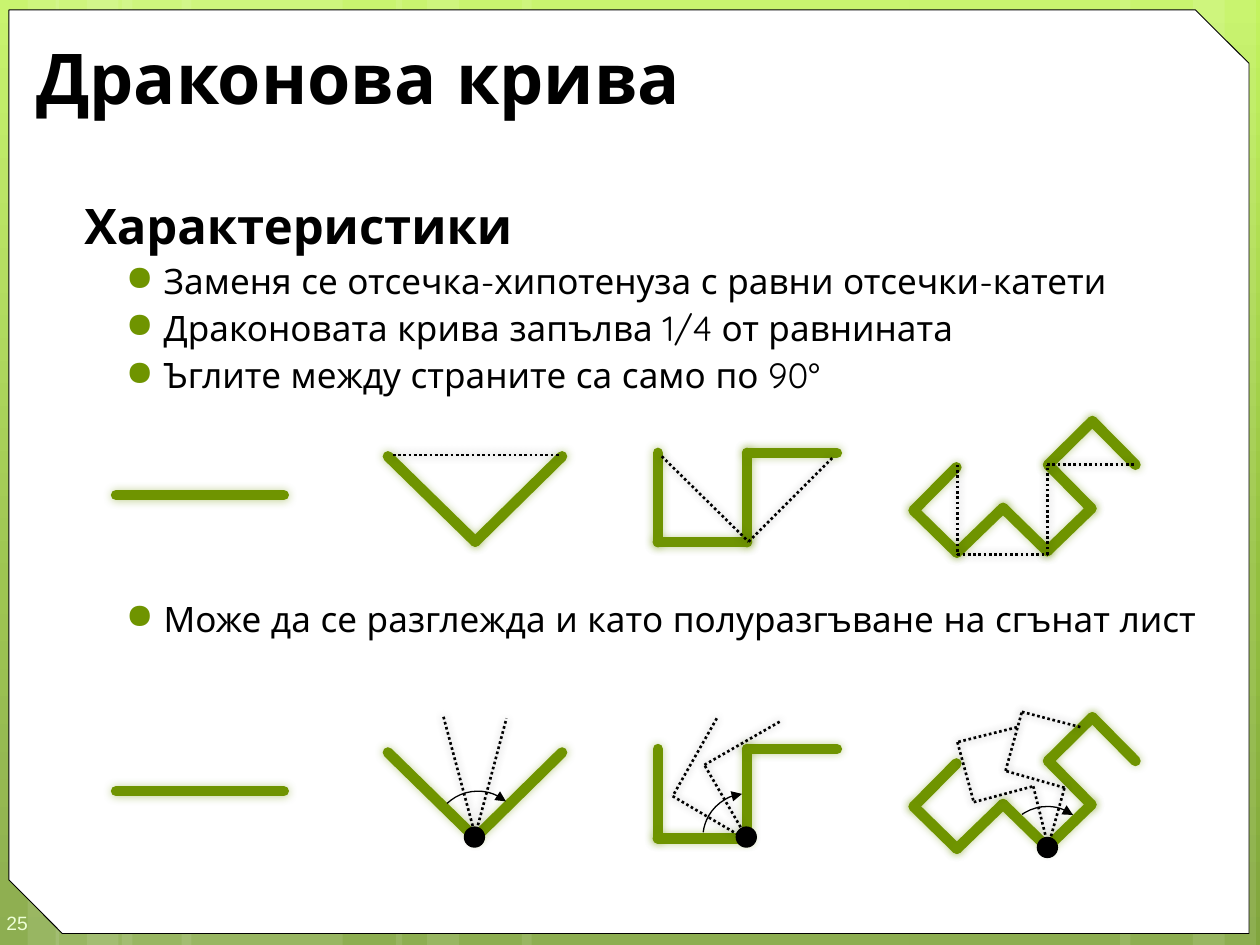
"""Build the slide on the dragon curve."""
from copy import deepcopy
from itertools import pairwise

from pptx import Presentation
from pptx.dml.color import RGBColor
from pptx.enum.dml import MSO_LINE
from pptx.enum.shapes import MSO_CONNECTOR, MSO_SHAPE
from pptx.enum.text import MSO_ANCHOR
from pptx.oxml import parse_xml
from pptx.oxml.ns import nsdecls, qn
from pptx.util import Cm, Pt

GREEN = RGBColor(0x6F, 0x94, 0x00)
BLACK = RGBColor(0x00, 0x00, 0x00)
WHITE = RGBColor(0xFF, 0xFF, 0xFF)
PALE = RGBColor(0xEE, 0xFF, 0xD6)
GRADIENT = [
    (0, RGBColor(0xC3, 0xF3, 0x5F)),
    (62000, RGBColor(0x93, 0xBF, 0x3F)),
    (100000, RGBColor(0x81, 0xA5, 0x3E)),
]
NAMESPACE = nsdecls("a")


def add_text(frame, text, size, color=BLACK, font="Quicksand", bold=False,
             margin=0, before=0, bullet=False):
    paragraph = frame.paragraphs[0]
    if paragraph.runs:
        paragraph = frame.add_paragraph()
    properties = paragraph._p.get_or_add_pPr()
    properties.set("marL", str(Cm(margin)))
    if bullet:
        properties.set("indent", str(Cm(-0.76)))
        properties.append(parse_xml(
            f'<a:buClr {NAMESPACE}><a:srgbClr val="{GREEN}"/></a:buClr>'))
        properties.append(parse_xml(f'<a:buChar {NAMESPACE} char="●"/>'))
    paragraph.space_before = Pt(before)
    run = paragraph.add_run()
    run.text = text
    run.font.size = Pt(size)
    run.font.name = font
    run.font.bold = bold
    run.font.color.rgb = color


def draw_path(points, color, width, dash=None, shift=0):
    for (x1, y1), (x2, y2) in pairwise(points):
        connector = slide.shapes.add_connector(
            MSO_CONNECTOR.STRAIGHT, Cm(x1), Cm(y1 + shift), Cm(x2), Cm(y2 + shift))
        connector.line.color.rgb = color
        connector.line.width = Pt(width)
        if dash:
            connector.line.dash_style = dash
        else:
            connector.line._get_or_add_ln().set("cap", "rnd")
        connector._element.spPr.append(parse_xml(
            f'<a:effectLst {NAMESPACE}><a:outerShdw blurRad="{Pt(5)}" dist="0" dir="0">'
            f'<a:srgbClr val="{color}"><a:alpha val="40000"/></a:srgbClr>'
            f'</a:outerShdw></a:effectLst>'))


presentation = Presentation()
presentation.slide_width = Cm(25.4)
presentation.slide_height = Cm(19.05)
slide = presentation.slides.add_slide(presentation.slide_layouts[6])

background = slide.background.fill
background.gradient()
background.gradient_angle = 270
first_stop = slide._element.find(".//" + qn("a:gs"))
first_stop.addnext(deepcopy(first_stop))
for stop, (position, color) in zip(background.gradient_stops, GRADIENT):
    stop.color.rgb = color
    stop.position = position / 100000

STRIPES = [
    (2.46, 4.45), (-0.08, 1.27), (0.56, 2.11), (3.66, 4.45), (1.12, 1.27), (1.75, 2.11),
    (18.34, 4.45), (24.05, 1.27), (22.58, 2.11), (10.52, 7.82), (7.98, 1.27), (8.61, 2.11),
]
for left, width in STRIPES:
    stripe = slide.shapes.add_shape(
        MSO_SHAPE.RECTANGLE, Cm(left), 0, Cm(width), presentation.slide_height)
    stripe.shadow.inherit = False
    stripe.fill.solid()
    stripe.fill.fore_color.rgb = WHITE
    stripe.line.fill.background()
    white = stripe._element.spPr.find(qn("a:solidFill"))[0]
    white.append(parse_xml(f'<a:alpha {NAMESPACE} val="10000"/>'))

card = slide.shapes.add_shape(
    MSO_SHAPE.SNIP_2_DIAG_RECTANGLE, Cm(0.18), Cm(0.2), Cm(25.0), Cm(18.62))
card.adjustments[0] = 0
card.adjustments[1] = 0.058
card.shadow.inherit = False
card.fill.solid()
card.fill.fore_color.rgb = WHITE
card.line.color.rgb = BLACK
card.line.width = Pt(0.5)

frames = []
for left, top, width, height, anchor in [
    (0, 18.03, 1.47, 1.02, MSO_ANCHOR.MIDDLE),
    (0.48, 0.64, 24.05, 1.8, MSO_ANCHOR.MIDDLE),
    (1.27, 3.81, 23.93, 15.04, MSO_ANCHOR.TOP),
]:
    box = slide.shapes.add_textbox(Cm(left), Cm(top), Cm(width), Cm(height))
    box.text_frame.word_wrap = True
    box.text_frame.vertical_anchor = anchor
    frames.append(box.text_frame)
number, title, body = frames
number.margin_left, number.margin_right = Cm(0.13), 0
number.margin_top, number.margin_bottom = Cm(0.38), Cm(0.25)

add_text(number, "25", 11, color=PALE, font="Arial")
add_text(title, "Драконова крива", 40, bold=True)
add_text(body, "Характеристики", 28, bold=True, margin=0.18)
for text, before in [
    ("Заменя се отсечка-хипотенуза с равни отсечки-катети", 3),
    ("Драконовата крива запълва 1/4 от равнината", 3),
    ("Ъглите между страните са само по 90°", 3),
    ("Може да се разглежда и като полуразгъване на сгънат лист", 115),
]:
    add_text(body, text, 20, margin=1.78, before=before, bullet=True)

CURVES = [
    [(2.34, 9.98), (5.72, 9.98)],
    [(7.82, 9.2), (9.58, 10.92), (11.33, 9.2)],
    [(13.26, 9.13), (13.26, 10.93), (15.06, 10.93), (15.06, 9.13), (16.87, 9.13)],
    [(19.28, 9.42), (18.42, 10.29), (19.29, 11.14), (20.22, 10.24), (21.11, 11.11),
     (22, 10.25), (21.13, 9.37), (22.02, 8.49), (22.89, 9.37)],
]
REPLACED_SEGMENTS = [
    [(7.92, 9.17), (11.3, 9.17)],
    [(13.34, 9.2), (15.09, 10.92), (16.81, 9.2)],
    [(19.3, 9.37), (19.3, 11.18), (21.11, 11.18), (21.11, 9.37), (22.91, 9.37)],
]
FOLDED_SHEETS = [
    [(8.94, 14.45), (9.58, 16.84), (10.21, 14.48)],
    [(14.45, 14.48), (13.56, 16.05), (15.09, 16.95), (14.2, 15.42), (15.75, 14.53)],
    [(20.5, 14.66), (19.3, 14.96), (19.63, 16.17), (20.83, 15.85), (21.13, 17.06),
     (21.46, 15.88), (20.27, 15.54), (20.6, 14.35), (21.79, 14.66)],
]
for row_shift in (0, 5.97):
    for curve in CURVES:
        draw_path(curve, GREEN, 6, shift=row_shift)

for left, top, start, end in [
    (8.74, 15.95, 135.73, 185.89),
    (14.17, 16, 112.27, 158.12),
    (20.22, 16.26, 141.09, 183.61),
]:
    arc = slide.shapes.add_shape(MSO_SHAPE.ARC, Cm(left), Cm(top), Cm(1.78), Cm(1.78))
    arc.adjustments[0] = start
    arc.adjustments[1] = end
    arc.shadow.inherit = False
    arc.fill.background()
    arc.line.color.rgb = BLACK
    arc.line.width = Pt(0.75)
    arc.line._get_or_add_ln().append(parse_xml(f'<a:tailEnd {NAMESPACE} type="triangle"/>'))

for left, top in [(9.35, 16.66), (14.83, 16.66), (20.9, 16.87)]:
    pivot = slide.shapes.add_shape(MSO_SHAPE.OVAL, Cm(left), Cm(top), Cm(0.43), Cm(0.43))
    pivot.shadow.inherit = False
    pivot.fill.solid()
    pivot.fill.fore_color.rgb = BLACK
    pivot.line.fill.background()

for dotted_path in REPLACED_SEGMENTS + FOLDED_SHEETS:
    draw_path(dotted_path, BLACK, 1.5, dash=MSO_LINE.ROUND_DOT)

presentation.save("out.pptx")
